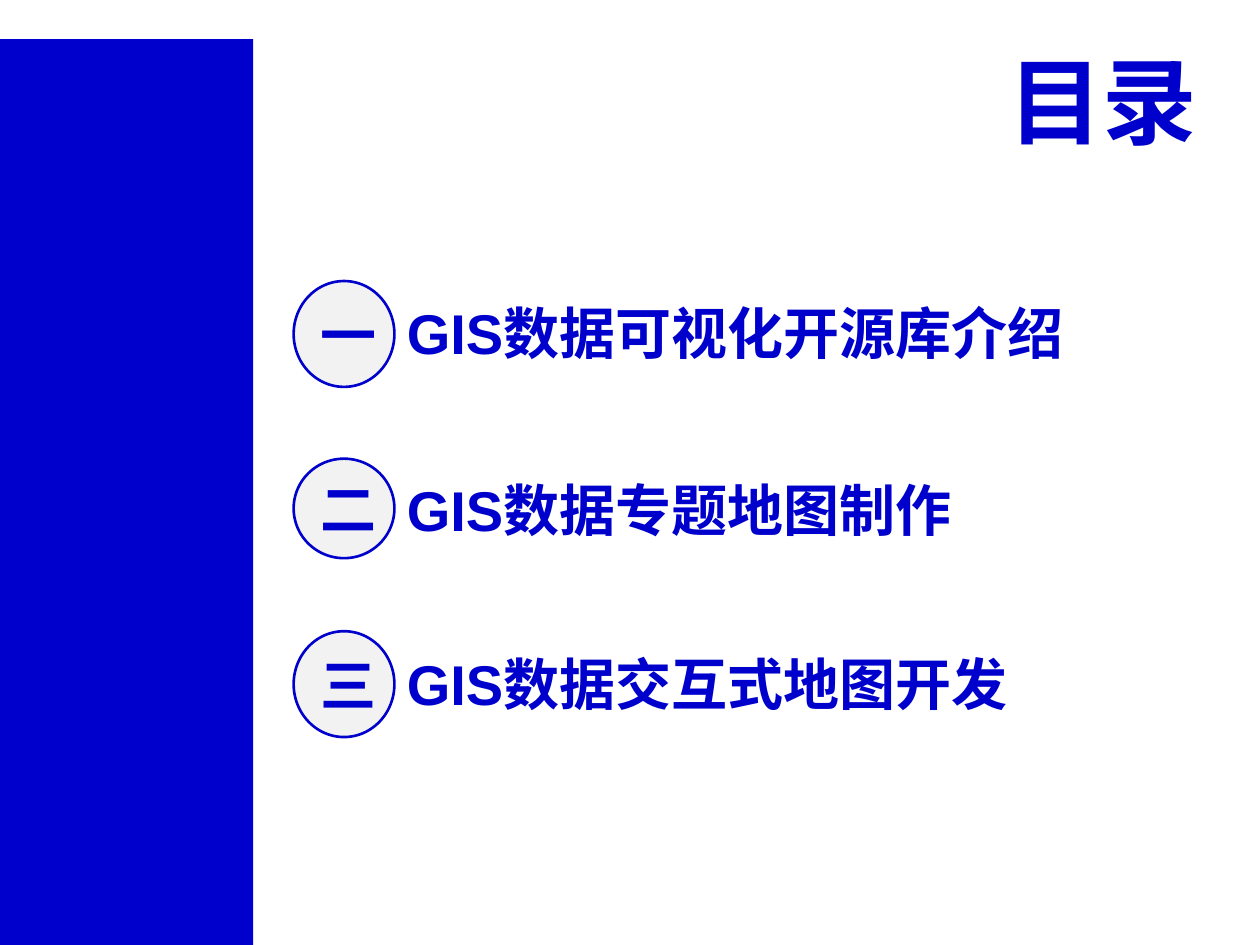
from lxml.etree import SubElement
from pptx import Presentation
from pptx.dml.color import RGBColor
from pptx.enum.shapes import MSO_SHAPE
from pptx.enum.text import MSO_ANCHOR, PP_ALIGN
from pptx.oxml.ns import qn
from pptx.util import Pt

COLORS = {"blue": "0000CC", "pale": "F2F2F2"}
CHINESE_FONT = "Noto Sans CJK SC"


def write_text(shape, text, size=32, font="Arial", align=PP_ALIGN.LEFT,
               anchor=MSO_ANCHOR.MIDDLE, wrap=True):
    frame = shape.text_frame
    frame.word_wrap = wrap
    frame.vertical_anchor = anchor
    paragraph = frame.paragraphs[0]
    paragraph.alignment = align
    run = paragraph.add_run()
    run.text = text
    run.font.size = Pt(size)
    run.font.bold = True
    run.font.color.rgb = RGBColor.from_string(COLORS["blue"])
    run.font.name = font
    SubElement(run.font._element, qn("a:ea"), typeface=CHINESE_FONT)


def add_filled(kind, left, top, width, height, fill):
    shape = slide.shapes.add_shape(kind, Pt(left), Pt(top), Pt(width), Pt(height))
    shape.shadow.inherit = False
    shape.fill.solid()
    shape.fill.fore_color.rgb = RGBColor.from_string(COLORS[fill])
    shape.line.fill.background()
    return shape


prs = Presentation()
prs.slide_width, prs.slide_height = Pt(720), Pt(540)
slide = prs.slides.add_slide(prs.slide_layouts[6])

add_filled(MSO_SHAPE.RECTANGLE, 0, 22.3, 144.7, 517.7, "blue")

heading = slide.shapes.add_textbox(Pt(564.5), Pt(20.9), Pt(126.7), Pt(72.7))
write_text(heading, "目录", size=54, align=PP_ALIGN.RIGHT,
           anchor=MSO_ANCHOR.TOP, wrap=False)

chapters = [
    ("一", "GIS数据可视化开源库介绍", 160.6, 60.5, 167),
    ("二", "GIS数据专题地图制作", 262.1, 56.9, 267.8),
    ("三", "GIS数据交互式地图开发", 360.7, 60.5, 367.2),
]
for numeral, topic, badge_top, badge_height, topic_top in chapters:
    badge = add_filled(MSO_SHAPE.OVAL, 167.8, badge_top, 57.6, badge_height, "pale")
    badge.line.color.rgb = RGBColor.from_string(COLORS["blue"])
    badge.line.width = Pt(1.5)
    write_text(badge, numeral, font=CHINESE_FONT, align=PP_ALIGN.CENTER)

    label = slide.shapes.add_textbox(Pt(225.4), Pt(topic_top), Pt(466), Pt(46))
    write_text(label, topic)

prs.save("out.pptx")
